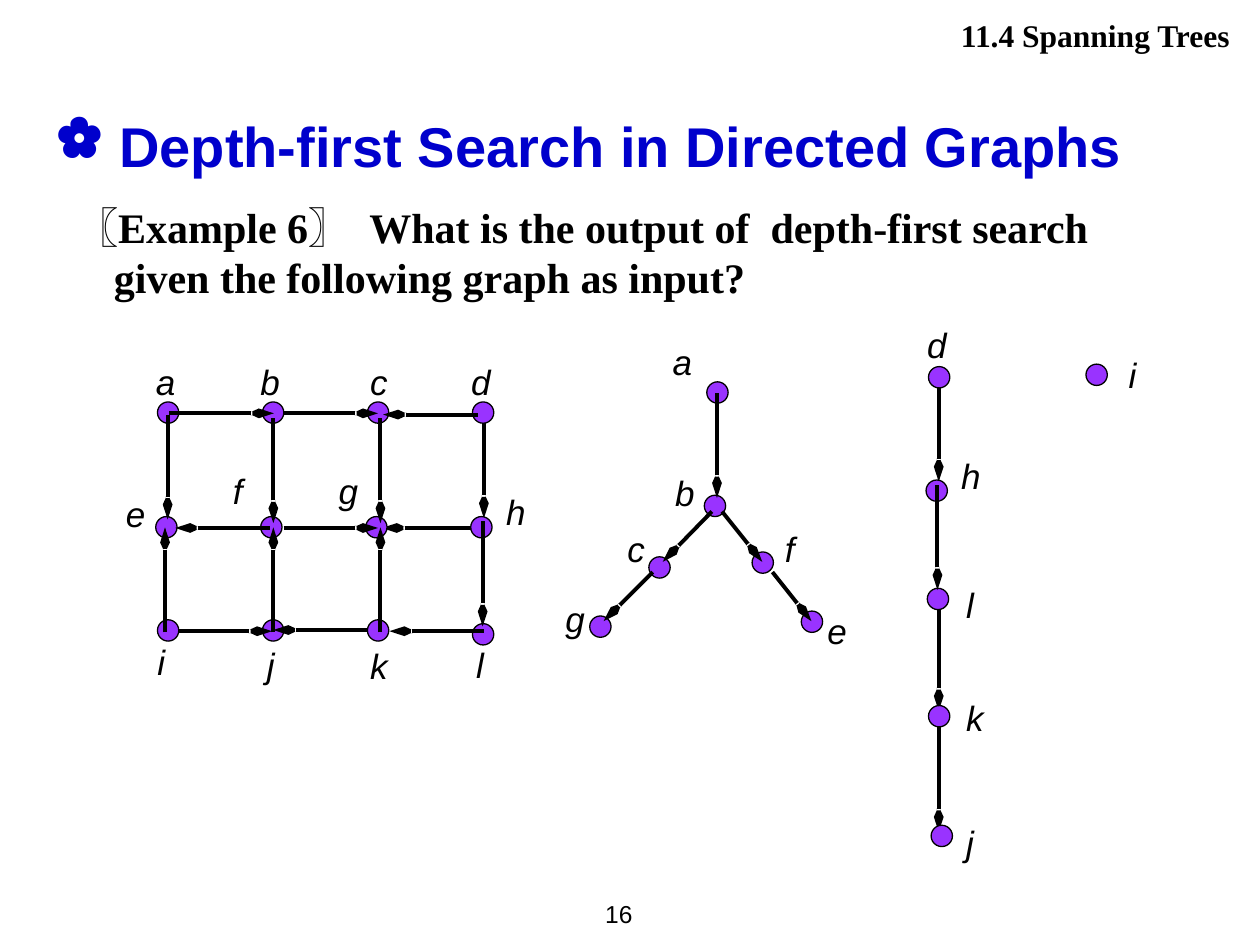
"""Builds the slide on depth-first search in directed graphs."""
from lxml import etree
from pptx import Presentation
from pptx.dml.color import RGBColor
from pptx.enum.shapes import MSO_CONNECTOR, MSO_SHAPE
from pptx.enum.text import MSO_ANCHOR, MSO_AUTO_SIZE, PP_ALIGN
from pptx.oxml.ns import qn
from pptx.util import Pt

BLACK = RGBColor(0x00, 0x00, 0x00)
BLUE = RGBColor(0x00, 0x00, 0xCC)
PURPLE = RGBColor(0x99, 0x33, 0xFF)
SANS, SERIF = "Arial", "Times New Roman"
STRAIGHT, OVAL = MSO_CONNECTOR.STRAIGHT, MSO_SHAPE.OVAL
TOP, MIDDLE = MSO_ANCHOR.TOP, MSO_ANCHOR.MIDDLE
LEFT, RIGHT = PP_ALIGN.LEFT, PP_ALIGN.RIGHT
FIT = MSO_AUTO_SIZE.SHAPE_TO_FIT_TEXT

GRID_NODES = [(90 + 60 * col - shift, y)
              for y, shift in ((229.7, 0), (295.2, 1)) for col in range(4)]
GRID_NODES += [(90 + 60 * col, 354.2) for col in range(3)] + [(270, 356.4)]
GRID_UNDER = [(272.2, 301.7, -54, 0), (276.5, 236.2, 0, 60)]
GRID_OVER = [
    (96.5, 236.2, 60, 0), (162, 236.2, 54, 0), (272.9, 236.9, -54, 0),
    (95.8, 236.9, 0, 60), (156.2, 239, 0, 60), (217.4, 239, 0, 60),
    (154.1, 301.7, -54, 0), (162, 301.7, 54, 0), (275.8, 298, 0, 60),
    (94.3, 361.4, 0, -60), (156.2, 361.4, 0, -60), (217.4, 361.4, 0, -60),
    (101.5, 360.7, 54, 0), (210.2, 360, -54, 0), (276.5, 360.7, -54, 0),
]
GRID_LABELS = [
    ("a", 82, 202.3), ("b", 141.8, 202.3), ("c", 204.5, 202.3),
    ("d", 262.1, 202.3), ("e", 64.8, 278), ("f", 126, 265),
    ("g", 186.5, 265), ("h", 282.2, 276.5), ("i", 82.8, 362.2),
    ("j", 145.4, 364.3), ("k", 204.5, 365), ("l", 265, 364.3),
]
TREE_NODES = [(403.9, 218.2), (402.5, 283), (370.8, 318.2),
              (429.8, 315.4), (337, 352), (457.9, 349.2)]
TREE_EDGES = [(409.7, 224.6, 0, 60), (406.8, 292.3, -28.1, 28.8),
              (373, 326.9, -28.1, 28.1), (412.6, 292.3, 23, 28.8),
              (441.4, 326.9, 22.3, 28.1)]
TREE_LABELS = [("a", 377.3, 190.8), ("b", 378.7, 265.7), ("c", 351.4, 298),
               ("f", 441.4, 298), ("g", 316, 337.7), ("e", 465.8, 344.9)]
CHAIN_NODES = [(530.6, 209.5), (529.2, 274.3), (529.9, 336.2),
               (530.6, 403.2), (532.1, 471.6)]
CHAIN_UNDER = [(536.4, y, 0, 60) for y in (215.3, 346.3, 415.4)]
CHAIN_OVER = [(535.7, 277.2, 0, 60)]
CHAIN_LABELS = [("d", 522.7, 181.4), ("h", 542.2, 256.3), ("l", 545, 329.8),
                ("k", 545, 394.6), ("j", 545, 465.8)]


class Deck:
    """Holds the style and the current slide."""

    def __init__(self):
        self.prs = Presentation()
        self.prs.slide_width, self.prs.slide_height = Pt(720), Pt(540)
        self.s = self.prs.slides.add_slide(self.prs.slide_layouts[6])

    def text(self, box, runs, size, font, color=BLACK, italic=False,
             align=LEFT, anchor=TOP, wrap=True, indent=0, bullet=None,
             fit=False, shapes=None):
        """Adds a text box of one paragraph; runs are (text, bold) pairs."""
        sp = (shapes or self.s.shapes).add_textbox(*map(Pt, box))
        tf = sp.text_frame
        tf.word_wrap, tf.vertical_anchor = wrap, anchor
        if fit:
            tf.auto_size = FIT
        p = tf.paragraphs[0]
        p.alignment = align
        if indent:
            pPr = p._p.get_or_add_pPr()
            pPr.set("marL", str(Pt(indent)))
            pPr.set("indent", str(-Pt(indent)))
            if bullet:
                etree.SubElement(pPr, qn("a:buChar")).set("char", bullet)
        for content, bold in runs:
            r = p.add_run()
            r.text = content
            r.font.name, r.font.size = font, Pt(size)
            r.font.bold, r.font.italic = bold, italic
            r.font.color.rgb = color

    def node(self, shapes, x, y):
        """Adds a graph vertex."""
        sp = shapes.add_shape(OVAL, Pt(x), Pt(y), Pt(12.2), Pt(12.2))
        sp.shadow.inherit = False
        sp.fill.solid()
        sp.fill.fore_color.rgb = PURPLE
        sp.line.color.rgb = BLACK
        sp.line.width = Pt(0.75)

    def edge(self, shapes, x, y, dx, dy):
        """Adds a directed edge from a start point and an offset."""
        c = shapes.add_connector(STRAIGHT, Pt(x), Pt(y), Pt(x + dx), Pt(y + dy))
        c.line.color.rgb = BLACK
        c.line.width = Pt(2.25)
        tail = etree.SubElement(c.line._get_or_add_ln(), qn("a:tailEnd"))
        for key, value in (("type", "arrow"), ("w", "sm"), ("len", "lg")):
            tail.set(key, value)
        etree.SubElement(c._element.spPr, qn("a:effectLst"))

    def graph(self, nodes, labels, under=(), over=()):
        """Adds one grouped graph with edges under and over its nodes."""
        shapes = self.s.shapes.add_group_shape().shapes
        for e in under:
            self.edge(shapes, *e)
        for n in nodes:
            self.node(shapes, *n)
        for e in over:
            self.edge(shapes, *e)
        for name, x, y in labels:
            self.text((x, y, 36, 31), [(name, False)], 20, SANS, italic=True,
                      fit=True, shapes=shapes)


def main():
    """Builds and saves the slide."""
    d = Deck()
    d.text((320.4, 504, 48.2, 36), [("16", False)], 14, SANS, align=RIGHT,
           anchor=MIDDLE, wrap=False)
    d.text((25.2, 55.4, 669.6, 55.4),
           [(" Depth-first Search in Directed Graphs", True)], 32, SANS,
           color=BLUE, anchor=MIDDLE, indent=27, bullet="✿")
    d.text((31, 111.6, 623.5, 68.4),
           [(" ", False),
            ("〖Example 6〗  What is the output of  depth-first search "
             "given the following graph as input?", True)],
           24, SERIF, indent=27)
    d.graph(GRID_NODES, GRID_LABELS, GRID_UNDER, GRID_OVER)
    d.graph([(620.6, 208.1)], [("i", 637.9, 198.7)])
    d.graph(TREE_NODES, TREE_LABELS, over=TREE_EDGES)
    d.graph(CHAIN_NODES, CHAIN_LABELS, CHAIN_UNDER, CHAIN_OVER)
    d.text((286.6, 5.8, 427.7, 28.8), [(" 11.4 Spanning Trees ", True)], 18,
           SERIF, align=RIGHT, fit=True)
    d.prs.save("out.pptx")


if __name__ == "__main__":
    main()
